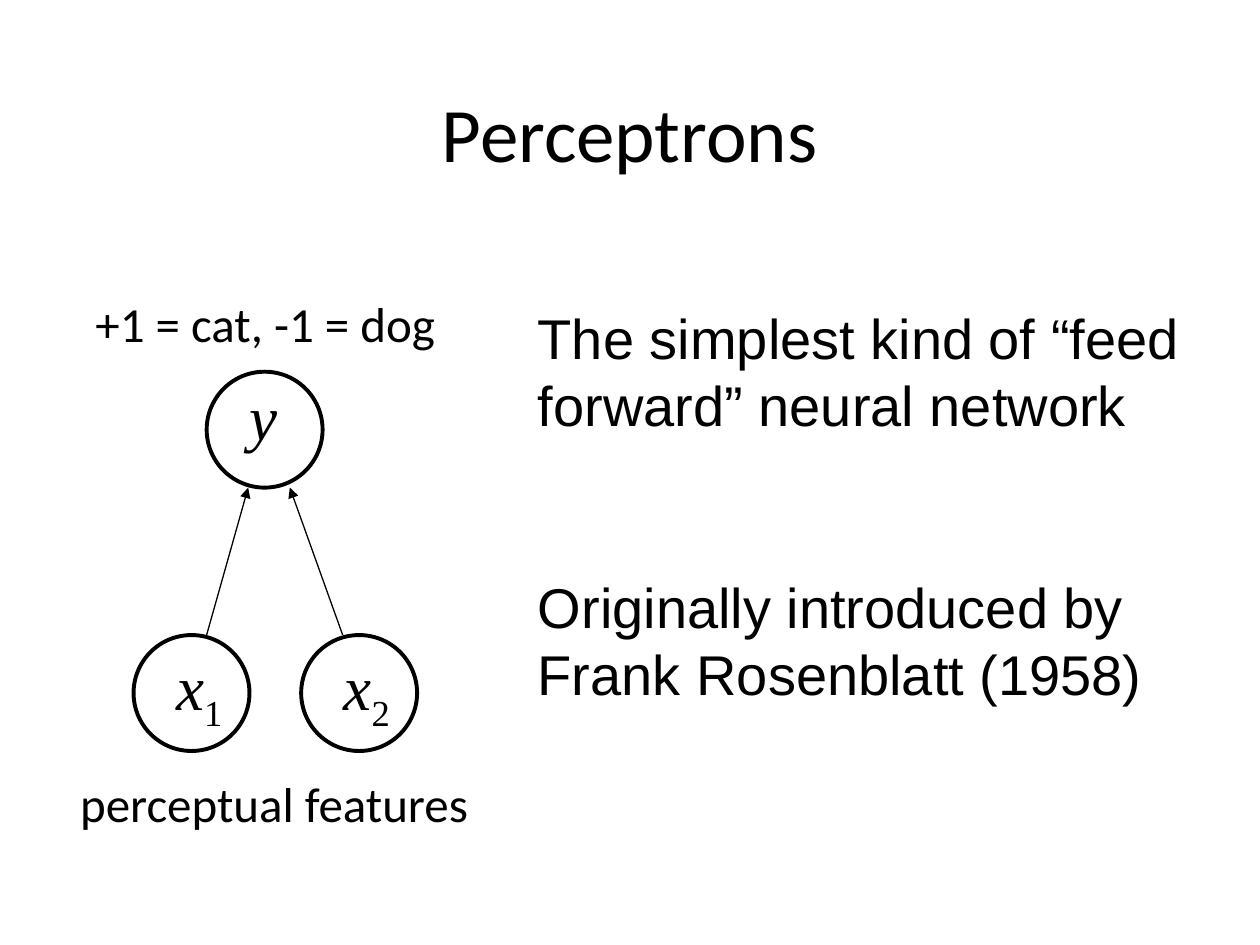
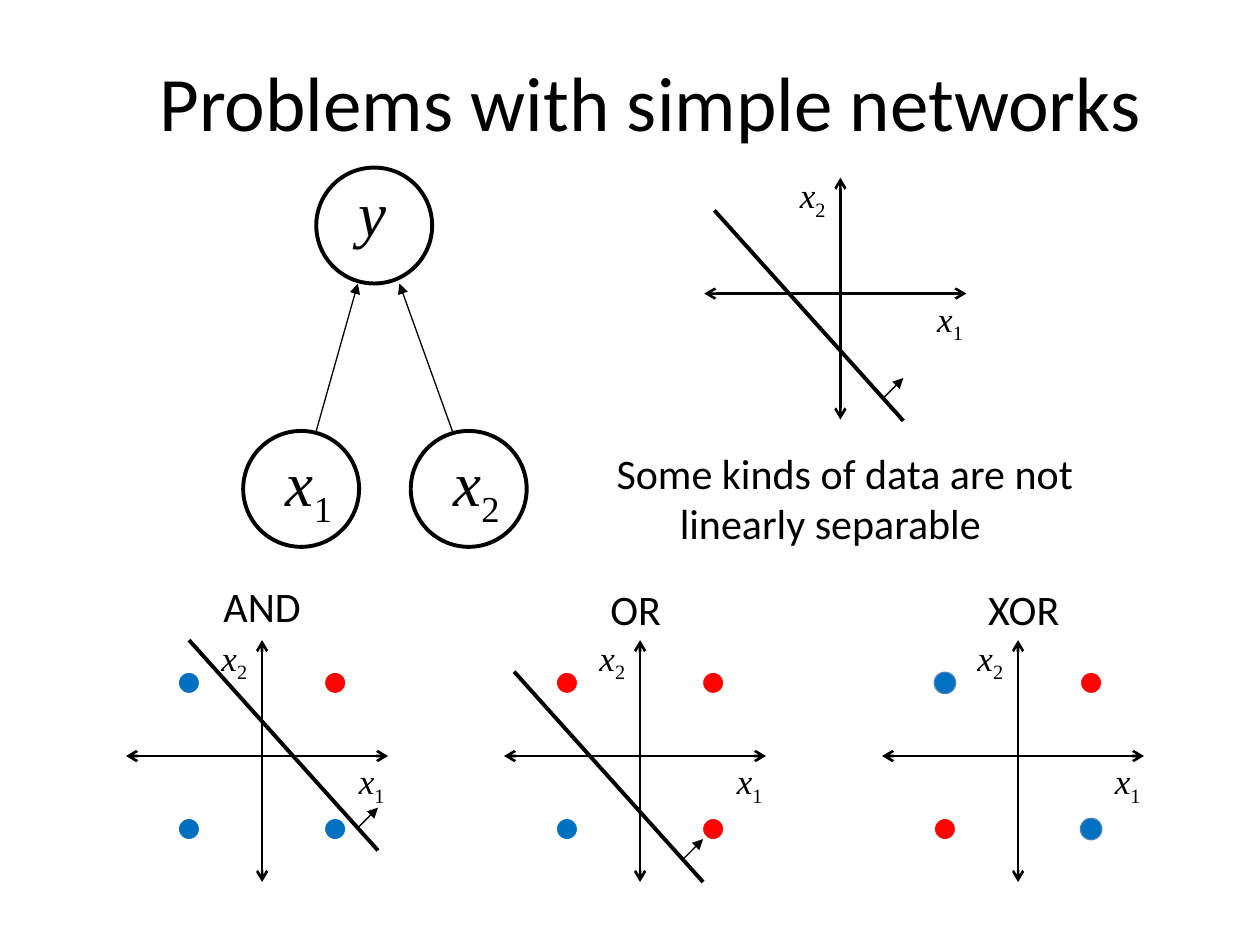
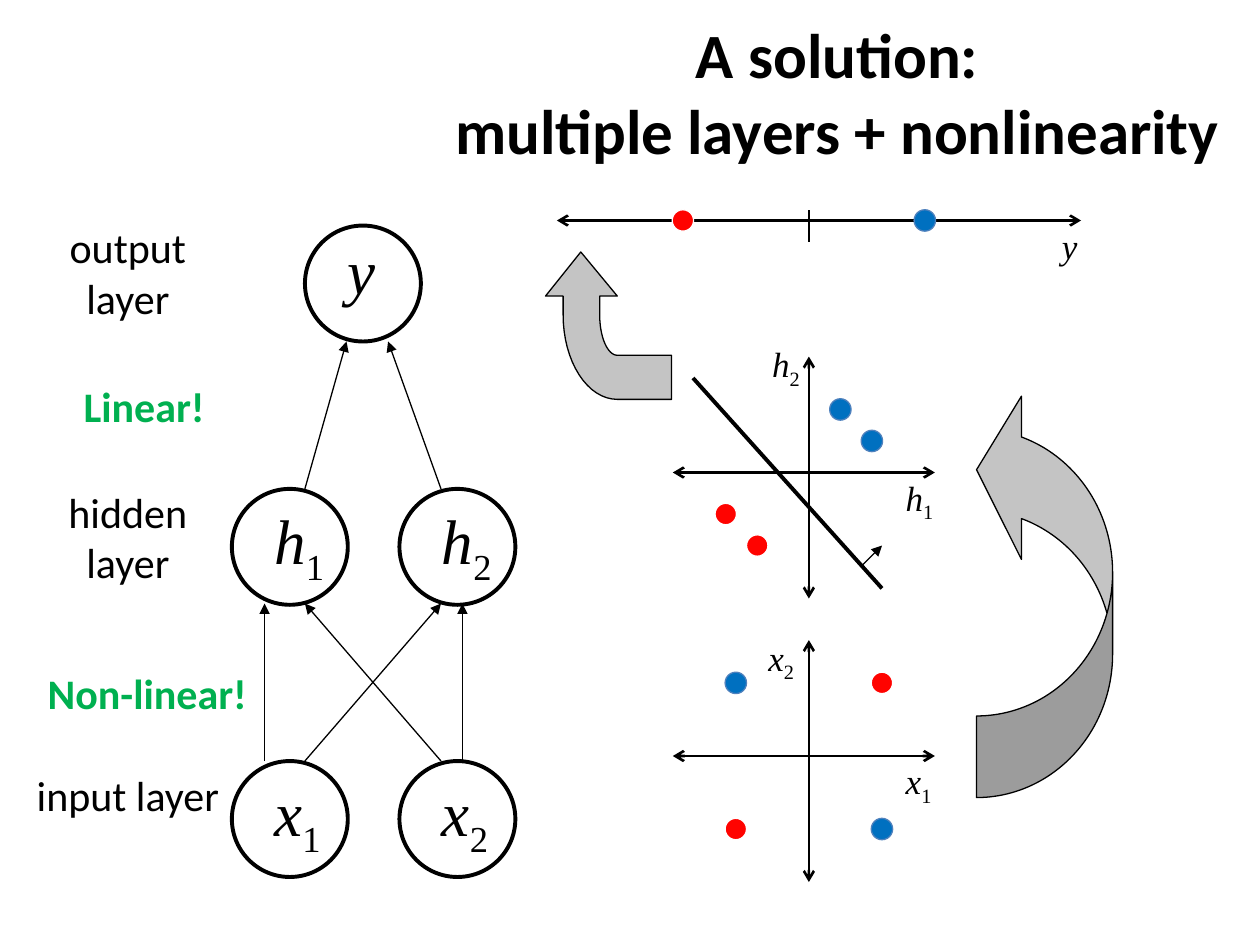
import math
from dataclasses import dataclass
from typing import Optional

import pptx
import pptx.dml.color
import pptx.enum.shapes
import pptx.enum.text
import pptx.oxml
import pptx.oxml.ns
import pptx.util
from pptx.util import Inches

BLACK, WHITE = "000000", "FFFFFF"
RED, BLUE, BLUE_EDGE = "FF0300", "0070C0", "4F81BD"
GREEN, GRAY = "00B050", "C4C4C4"
BODY_FONT, MATH_FONT, PROSE_FONT = "Calibri", "Times New Roman", "Arial"

NODE_SIZE, DOT_SIZE = 0.92, 0.17
LEFT_NODE, RIGHT_NODE, LAYER_GAP = -0.58, 0.75, 2.09
CORNER = 0.58

SHAPES = pptx.enum.shapes.MSO_SHAPE
ALIGN = pptx.enum.text.PP_ALIGN
ANCHOR = pptx.enum.text.MSO_ANCHOR


@dataclass(frozen=True)
class Dot:
    """A data point, placed relative to the origin of its plot."""
    x: float
    y: float
    color: str
    edge: str = WHITE


@dataclass(frozen=True)
class Plot:
    """Axes through an origin; boundary is the start of the separating line."""
    x: float
    y: float
    variable: str = "x"
    dots: tuple[Dot, ...] = ()
    boundary: Optional[tuple[float, float]] = None
    vertical_label: tuple[float, float] = (-0.42, -1.0)


@dataclass(frozen=True)
class Caption:
    text: str
    left: float
    top: float
    width: float
    height: float = 0.5
    size: float = 24
    color: str = BLACK
    bold: bool = False
    wrap: bool = False


def rgb(color: str) -> pptx.dml.color.RGBColor:
    return pptx.dml.color.RGBColor.from_string(color)


def style_font(paragraph, name: str, size: float, color: str = BLACK, bold: bool = False) -> None:
    font = paragraph.font
    font.name, font.size, font.bold = name, pptx.util.Pt(size), bold
    font.color.rgb = rgb(color)


def style_shape(shape, fill: str, edge: str, width: float = 0.75) -> None:
    shape.shadow.inherit = False
    shape.fill.solid()
    shape.fill.fore_color.rgb = rgb(fill)
    shape.line.color.rgb = rgb(edge)
    shape.line.width = pptx.util.Pt(width)


def add_frame(slide, left: float, top: float, width: float, height: float, wrap: bool = False):
    box = slide.shapes.add_textbox(Inches(left), Inches(top), Inches(width), Inches(height))
    box.text_frame.word_wrap = wrap
    return box.text_frame


def add_title(slide, text: str, left: float, top: float, width: float,
              size: float = 44, bold: bool = False) -> None:
    frame = add_frame(slide, left, top, width, 1.25, wrap=True)
    frame.vertical_anchor = ANCHOR.MIDDLE
    paragraph = frame.paragraphs[0]
    paragraph.text = text
    paragraph.alignment = ALIGN.CENTER
    style_font(paragraph, BODY_FONT, size, bold=bold)


def add_caption(slide, caption: Caption):
    frame = add_frame(slide, caption.left, caption.top, caption.width, caption.height, caption.wrap)
    paragraph = frame.paragraphs[0]
    paragraph.text = caption.text
    paragraph.alignment = ALIGN.CENTER
    style_font(paragraph, BODY_FONT, caption.size, caption.color, caption.bold)
    return paragraph


def add_symbol(slide, symbol: str, left: float, top: float, size: float,
               width: float, height: float) -> None:
    """Write an italic letter, with any following digit as its subscript."""
    paragraph = add_frame(slide, left, top, width, height).paragraphs[0]
    style_font(paragraph, MATH_FONT, size)
    letter = paragraph.add_run()
    letter.text = symbol[0]
    letter.font.italic = True
    if symbol[1:]:
        index = paragraph.add_run()
        index.text = symbol[1:]
        index._r.get_or_add_rPr().set("baseline", "-25000")


def add_line(slide, start: tuple[float, float], end: tuple[float, float], width: float = 0.75,
             head: str = "", tail: str = "") -> None:
    line = slide.shapes.add_connector(
        pptx.enum.shapes.MSO_CONNECTOR.STRAIGHT, *(Inches(value) for value in (*start, *end)))
    line.line.color.rgb = rgb(BLACK)
    line.line.width = pptx.util.Pt(width)
    properties = line._element.spPr
    outline = properties.find(pptx.oxml.ns.qn("a:ln"))
    namespace = pptx.oxml.ns.nsdecls("a")
    for tag, kind in (("headEnd", head), ("tailEnd", tail)):
        if kind:
            outline.append(pptx.oxml.parse_xml(f'<a:{tag} {namespace} type="{kind}"/>'))
    properties.append(pptx.oxml.parse_xml(f"<a:effectLst {namespace}/>"))


def add_arrow(slide, start: tuple[float, float], end: tuple[float, float]) -> None:
    add_line(slide, start, end, tail="triangle")


def add_axis(slide, start: tuple[float, float], end: tuple[float, float]) -> None:
    add_line(slide, start, end, 1.5, head="arrow", tail="arrow")


def add_circle(slide, left: float, top: float, size: float, fill: str, edge: str, width: float) -> None:
    circle = slide.shapes.add_shape(
        SHAPES.OVAL, Inches(left), Inches(top), Inches(size), Inches(size))
    style_shape(circle, fill, edge, width)


def add_node(slide, symbol: str, left: float, top: float) -> None:
    add_circle(slide, left, top, NODE_SIZE, WHITE, BLACK, 2.25)
    drop = 0.05 if symbol[1:] else 0
    add_symbol(slide, symbol, left + 0.24, top + drop, 36, 0.8, 0.7)


def add_network(slide, left: float, top: float, variable: str = "x") -> None:
    """Draw the output node at left, top and the two nodes that feed it."""
    below = top + LAYER_GAP
    add_node(slide, "y", left, top)
    add_node(slide, f"{variable}1", left + LEFT_NODE, below)
    add_node(slide, f"{variable}2", left + RIGHT_NODE, below)
    for start, end in ((0, 0.33), (1.08, 0.66)):
        add_arrow(slide, (left + start, below), (left + end, top + NODE_SIZE))


def add_dot(slide, dot: Dot, x: float, y: float) -> None:
    add_circle(slide, x + dot.x - DOT_SIZE / 2, y + dot.y - DOT_SIZE / 2,
               DOT_SIZE, dot.color, dot.edge, 0.75)


def add_plot(slide, plot: Plot) -> None:
    x, y = plot.x, plot.y
    if plot.boundary:
        left, top = x + plot.boundary[0], y + plot.boundary[1]
        add_line(slide, (left, top), (left + 1.5, top + 1.67), 2.25)
        add_arrow(slide, (left + 1.33, top + 1.5), (left + 1.5, top + 1.33))
    add_axis(slide, (x, y - 0.92), (x, y + 1))
    add_axis(slide, (x + 1, y), (x - 1.08, y))
    for index, (dx, dy) in enumerate(((0.67, -0.02), plot.vertical_label), start=1):
        add_symbol(slide, f"{plot.variable}{index}", x + dx, y + dy, 20, 0.5, 0.43)
    for dot in plot.dots:
        add_dot(slide, dot, x, y)


def corner_dots(colors: tuple[str, str, str, str], blue_edge: str = WHITE) -> tuple[Dot, ...]:
    """Place four dots at the corners: top right, top left, bottom left, bottom right."""
    corners = ((1, -1), (-1, -1), (-1, 1), (1, 1))
    return tuple(Dot(dx * CORNER, dy * CORNER, color, blue_edge if color == BLUE else WHITE)
                 for (dx, dy), color in zip(corners, colors))


XOR_DOTS = corner_dots((RED, BLUE, RED, BLUE), BLUE_EDGE)


def quarter_arc(radius_x: float, radius_y: float) -> list[tuple[float, float]]:
    """Return points of the bend of the output arrow, from its left to its bottom."""
    steps = 16
    angles = [math.pi / 2 * step / steps for step in range(steps + 1)]
    return [(4.9 - radius_x * math.cos(angle), 2.5 + radius_y * math.sin(angle)) for angle in angles]


def add_output_arrow(slide) -> None:
    outer, inner = quarter_arc(0.43, 0.67), quarter_arc(0.14, 0.32)
    outline = [(4.61, 2), (4.33, 2.35), (4.47, 2.35), *outer,
               (5.33, 3.17), (5.33, 2.82), *reversed(inner), (4.76, 2.35), (4.9, 2.35)]
    points = [(Inches(x), Inches(y)) for x, y in outline]
    builder = slide.shapes.build_freeform(*points[0])
    builder.add_line_segments(points[1:], close=True)
    style_shape(builder.convert_to_shape(), GRAY, BLACK)


def add_hidden_arrow(slide) -> None:
    arrow = slide.shapes.add_shape(
        SHAPES.CURVED_LEFT_ARROW, Inches(7.75), Inches(3.08), Inches(1.08), Inches(3.25))
    style_shape(arrow, GRAY, BLACK)
    for index, value in enumerate((0.6, 1.2, 0.33)):
        arrow.adjustments[index] = value
    arrow.rotation = 180
    arrow._element.spPr.xfrm.set("flipH", "1")


def build_perceptrons(slide) -> None:
    add_title(slide, "Perceptrons", 0.75, 0.42, 8.5)
    add_network(slide, 1.64, 2.95)
    add_caption(slide, Caption("perceptual features", 0.52, 6.09, 3.31, 0.57, 28))
    add_caption(slide, Caption("+1 = cat, -1 = dog", 0.64, 2.28, 2.93, 0.57, 28))

    prose = add_frame(slide, 4.17, 1.83, 5.58, 4.5, wrap=True)
    prose.margin_top = Inches(0.58)
    statement, origin = prose.paragraphs[0], prose.add_paragraph()
    statement.text = "The simplest kind of “feed forward” neural network"
    origin.text = "Originally introduced by Frank Rosenblatt (1958)"
    origin.space_before = pptx.util.Pt(77)
    for paragraph in (statement, origin):
        paragraph.line_spacing = pptx.util.Pt(38.4)
        style_font(paragraph, PROSE_FONT, 32)


def build_problems(slide) -> None:
    add_title(slide, "Problems with simple networks", 0.75, 0.17, 8.83)
    add_network(slide, 2.51, 1.33)
    plots = (
        Plot(6.67, 2.33, boundary=(-1, -0.66)),
        Plot(2.08, 6, dots=corner_dots((RED, BLUE, BLUE, BLUE)), boundary=(-0.58, -0.92)),
        Plot(5.08, 6, dots=corner_dots((RED, RED, BLUE, RED)), boundary=(-1, -0.67)),
        Plot(8.08, 6, dots=XOR_DOTS),
    )
    for plot in plots:
        add_plot(slide, plot)
    remark = add_caption(slide, Caption("Some kinds of data are not linearly separable",
                                        4.09, 3.5, 5, 0.9, wrap=True))
    remark._p.get_or_add_pPr().set("indent", str(Inches(0.23)))
    for caption in (Caption("AND", 1.67, 4.56, 0.82), Caption("OR", 4.74, 4.58, 0.61),
                    Caption("XOR", 7.74, 4.58, 0.77)):
        add_caption(slide, caption)


def build_solution(slide) -> None:
    add_title(slide, "A solution:\vmultiple layers + nonlinearity", 3.41, 0.1, 6.47, 36, bold=True)
    output_left, output_top, input_top = 2.42, 1.79, 6.04
    add_network(slide, output_left, output_top, "h")
    for symbol, offset in (("x1", LEFT_NODE), ("x2", RIGHT_NODE)):
        add_node(slide, symbol, output_left + offset, input_top)
    for start, end in ((2.1, 2.1), (3.67, 3.67), (2.42, 3.5), (3.5, 2.42)):
        add_arrow(slide, (start, input_top), (end, 4.79))

    add_output_arrow(slide)
    add_hidden_arrow(slide)
    hidden_dots = (Dot(-0.66, 0.33, RED), Dot(-0.41, 0.58, RED),
                   Dot(0.25, -0.5, BLUE, BLUE_EDGE), Dot(0.5, -0.25, BLUE, BLUE_EDGE))
    add_plot(slide, Plot(6.42, 3.75, "h", hidden_dots, (-0.92, -0.75), (-0.39, -1.08)))
    add_plot(slide, Plot(6.42, 6, dots=XOR_DOTS))

    output_x, output_y = 6.42, 1.75
    add_axis(slide, (8.58, output_y), (4.42, output_y))
    add_line(slide, (output_x, 1.67), (output_x, 1.92), 1.5)
    add_symbol(slide, "y", 8.33, 1.73, 20, 0.32, 0.43)
    for dot in (Dot(-1, 0, RED), Dot(0.92, 0, BLUE, BLUE_EDGE)):
        add_dot(slide, dot, output_x, output_y)

    for layer, top in (("output layer", 1.71), ("hidden layer", 3.81), ("input layer", 6.06)):
        add_caption(slide, Caption(layer, 0.18, top, 1.67, 0.9, wrap=True))
    add_caption(slide, Caption("Non-linear!", 0.27, 5.25, 1.8, color=GREEN, bold=True))
    add_caption(slide, Caption("Linear!", 0.56, 2.97, 1.17, color=GREEN, bold=True))


def main() -> None:
    deck = pptx.Presentation()
    deck.slide_width, deck.slide_height = Inches(10), Inches(7.5)
    blank = deck.slide_layouts[6]
    for build in (build_perceptrons, build_problems, build_solution):
        build(deck.slides.add_slide(blank))
    deck.save("out.pptx")


if __name__ == "__main__":
    main()
